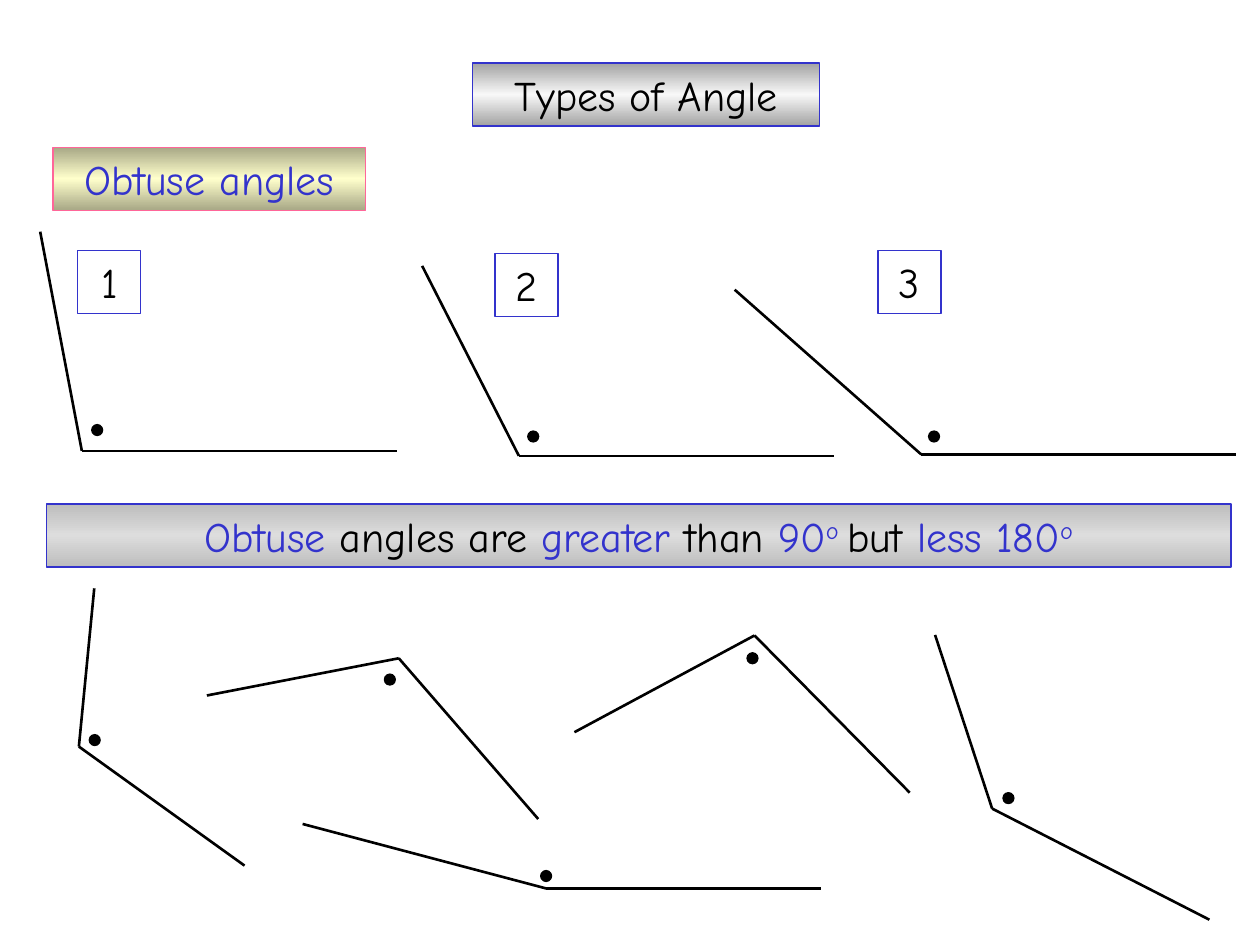
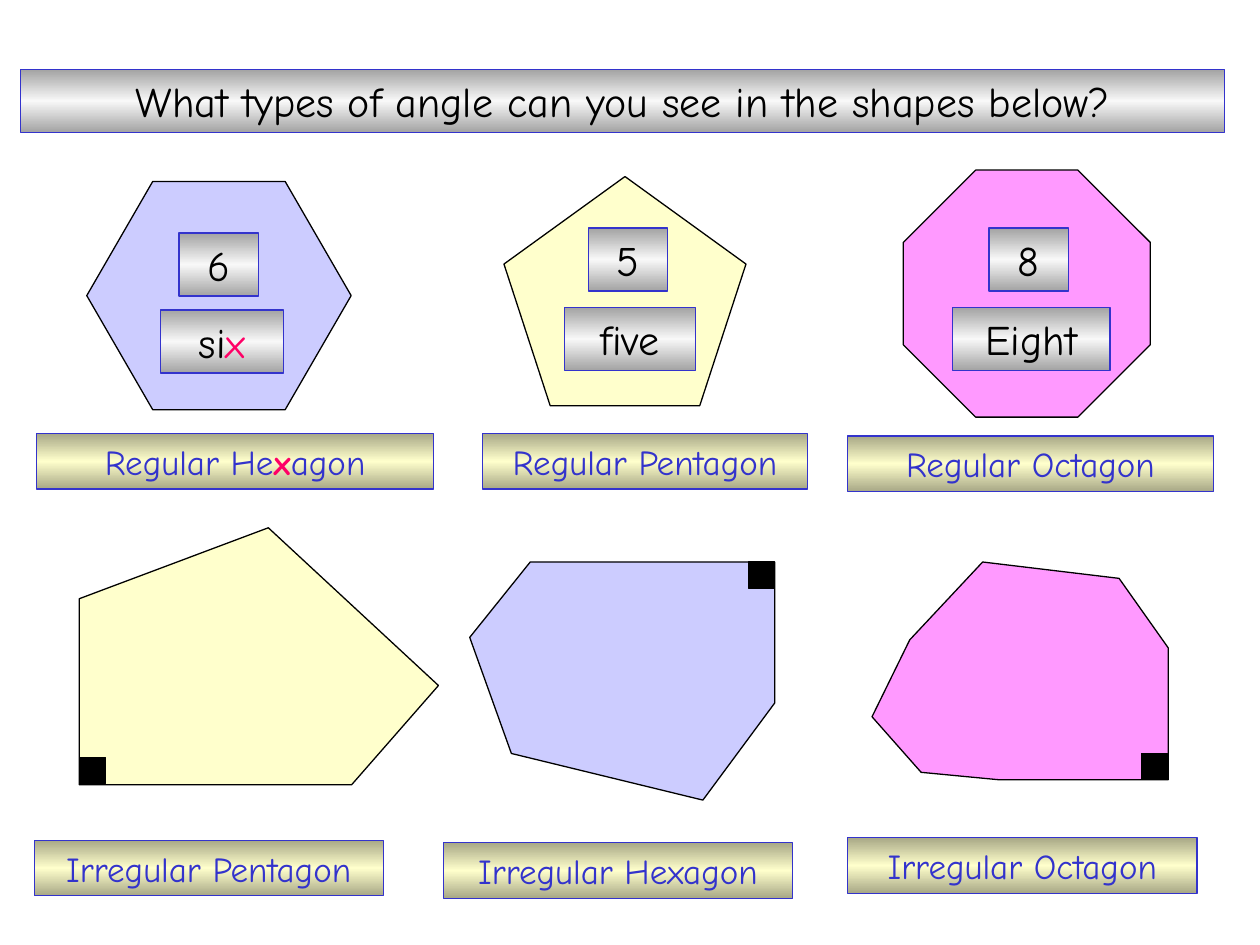
from copy import deepcopy

from lxml.etree import SubElement
from pptx import Presentation
from pptx.dml.color import RGBColor
from pptx.enum.shapes import MSO_CONNECTOR, MSO_SHAPE as Preset
from pptx.enum.text import MSO_ANCHOR, MSO_AUTO_SIZE, PP_ALIGN
from pptx.oxml.ns import qn
from pptx.util import Cm, Pt

# Shared look
FONT = "Comic Neue"
BLACK, BLUE, RED, PINK = "000000", "3333CC", "FF0066", "FF6699"
YELLOW_FILL, BLUE_FILL, PINK_FILL = "FFFFCC", "CCCCFF", "FF99FF"
SILVER = ("A3A3A3", "F8F8F8")
GREY = ("BDBDBD", "DDDDDD")
GOLD = ("A8A886", "FFFFCC")
BOX_HEIGHT, LABEL_HEIGHT = 1.27, 1.12
DOT_SIZE, CORNER_SIZE = 0.22, 0.53

# Slide 1 content, in centimetres
TITLE_ANGLES = ("Types of Angle", (9.53, 1.27, 6.99))
SUBTITLE = ("Obtuse angles", (1.07, 2.97, 6.3))
NUMBERS = [("1", (1.57, 5.05, 1.27)), ("2", (9.98, 5.11, 1.27)),
           ("3", (17.7, 5.05, 1.27))]
RULE_PLACE = (0.94, 10.16, 23.88)
RULE = [("Obtuse", BLUE), (" angles are ", BLACK), ("greater", BLUE),
        (" than ", BLACK), ("90", BLUE), ("o ", BLUE, "super"),
        ("but ", BLACK), ("less 180", BLUE), ("o", BLUE, "super")]
# First arm end, vertex, second arm end, top left of the dot
ANGLES = [
    ((0.81, 4.67), (1.65, 9.09), (8.0, 9.09), (1.85, 8.56)),
    ((8.51, 5.36), (10.46, 9.19), (16.81, 9.19), (10.64, 8.69)),
    ((14.81, 5.84), (18.57, 9.16), (24.92, 9.16), (18.72, 8.69)),
    ((1.9, 11.86), (1.59, 15.05), (4.93, 17.45), (1.8, 14.81)),
    ((4.17, 14.02), (8.04, 13.27), (10.85, 16.51), (7.75, 13.59)),
    ((11.58, 14.76), (15.21, 12.81), (18.34, 15.98), (15.06, 13.16)),
    ((18.85, 12.8), (20.0, 16.3), (24.38, 18.54), (20.22, 15.98)),
    ((6.1, 16.61), (11.01, 17.91), (16.56, 17.91), (10.9, 17.55)),
]

# Slide 2 content, in centimetres
TITLE_SHAPES = ("What types of angle can you see in the shapes below?",
                (0.41, 1.4, 24.28))
REGULAR = [
    {"preset": Preset.HEXAGON, "adjust": 0.289, "fill": BLUE_FILL,
     "place": (1.75, 3.66, 5.33, 4.6),
     "number": ("6", (3.61, 4.7, 1.6)),
     "word": ([("si", BLACK), ("x", RED)], (3.23, 6.25, 2.49)),
     "label": ([("Regular He", BLUE), ("x", RED, "bold"), ("agon", BLUE)],
               (0.74, 8.74, 8.0))},
    {"preset": Preset.REGULAR_PENTAGON, "adjust": None, "fill": YELLOW_FILL,
     "place": (10.16, 3.56, 4.88, 4.62),
     "number": ("5", (11.86, 4.6, 1.6)),
     "word": ("five", (11.38, 6.2, 2.64)),
     "label": ("Regular Pentagon", (9.73, 8.74, 6.55))},
    {"preset": Preset.OCTAGON, "adjust": 0.293, "fill": PINK_FILL,
     "place": (18.21, 3.43, 4.98, 4.98),
     "number": ("8", (19.94, 4.6, 1.6)),
     "word": ("Eight", (19.2, 6.2, 3.18)),
     "label": ("Regular Octagon", (17.09, 8.79, 7.37))},
]
IRREGULAR = [
    {"fill": YELLOW_FILL, "corner": (1.6, 15.27),
     "label": ("Irregular Pentagon", (0.69, 16.94, 7.04)),
     "points": [(7.09, 15.82), (1.6, 15.82), (1.6, 12.07), (5.41, 10.64),
                (8.84, 13.82)]},
    {"fill": BLUE_FILL, "corner": (15.09, 11.33),
     "label": ("Irregular Hexagon", (8.94, 16.99, 7.04)),
     "points": [(10.69, 11.33), (15.62, 11.33), (15.62, 14.17),
                (14.17, 16.13), (10.31, 15.19), (9.47, 12.85)]},
    {"fill": PINK_FILL, "corner": (23.01, 15.19),
     "label": ("Irregular Octagon", (17.09, 16.89, 7.04)),
     "points": [(20.14, 15.72), (23.55, 15.72), (23.55, 13.06),
                (22.56, 11.66), (19.81, 11.33), (18.34, 12.9),
                (17.58, 14.45), (18.57, 15.57)]},
]


def color(hex_string):
    return RGBColor.from_string(hex_string)


def to_cm(values):
    return [Cm(value) for value in values]


def outline(shape, line_color=BLACK, width=0.75):
    shape.line.color.rgb = color(line_color)
    shape.line.width = Pt(width)


def fill_solid(shape, fill_color):
    shape.shadow.inherit = False
    shape.fill.solid()
    shape.fill.fore_color.rgb = color(fill_color)
    outline(shape)


def fill_band(shape, band):
    """Vertical gradient: edge colour, middle colour, edge colour."""
    edge, middle = band
    shape.fill.gradient()
    shape.fill.gradient_angle = 90
    stop_list = shape._element.spPr.find(".//" + qn("a:gsLst"))
    stop_list.append(deepcopy(stop_list[0]))
    stops = zip(shape.fill.gradient_stops, (0, 0.5, 1), (edge, middle, edge))
    for stop, position, stop_color in stops:
        stop.position = position
        stop.color.rgb = color(stop_color)


def write(shape, text, text_color, size):
    frame = shape.text_frame
    frame.word_wrap = True
    frame.auto_size = MSO_AUTO_SIZE.NONE
    frame.vertical_anchor = MSO_ANCHOR.MIDDLE
    paragraph = frame.paragraphs[0]
    paragraph.alignment = PP_ALIGN.CENTER
    paragraph.space_before = Pt(0)
    paragraph.font.name = FONT
    paragraph.font.size = Pt(size)
    parts = [(text, text_color)] if isinstance(text, str) else text
    for words, run_color, *style in parts:
        run = paragraph.add_run()
        run.text = words
        run.font.color.rgb = color(run_color)
        if "bold" in style:
            run.font.bold = True
        if "super" in style:
            run.font._element.set("baseline", "30000")


def style_box(shape, text, band, text_color=BLACK, line_color=BLUE, size=24):
    shape.shadow.inherit = False
    if band:
        fill_band(shape, band)
    else:
        shape.fill.background()
    outline(shape, line_color)
    write(shape, text, text_color, size)


def add_box(slide, text, place, band=None, height=BOX_HEIGHT, **style):
    shape = slide.shapes.add_shape(Preset.RECTANGLE, *to_cm((*place, height)))
    style_box(shape, text, band, **style)


def add_label(slide, text, place):
    add_box(slide, text, place, GOLD, LABEL_HEIGHT, text_color=BLUE, size=20)


def add_titled_slide(presentation, text, place):
    slide = presentation.slides.add_slide(presentation.slide_layouts[5])
    title = slide.shapes.title
    title.left, title.top, title.width, title.height = to_cm((*place, BOX_HEIGHT))
    style_box(title, text, SILVER)
    return slide


def add_marker(slide, preset, corner, size):
    shape = slide.shapes.add_shape(preset, *to_cm((*corner, size, size)))
    fill_solid(shape, BLACK)


def add_angle(slide, first_end, vertex, second_end, dot):
    for end in (first_end, second_end):
        arm = slide.shapes.add_connector(
            MSO_CONNECTOR.STRAIGHT, *to_cm((*vertex, *end)))
        outline(arm, width=1.5)
        SubElement(arm._element.spPr, qn("a:effectLst"))
    add_marker(slide, Preset.OVAL, dot, DOT_SIZE)


def build_angles_slide(presentation):
    slide = add_titled_slide(presentation, *TITLE_ANGLES)
    add_box(slide, *SUBTITLE, GOLD, text_color=BLUE, line_color=PINK)
    for number, place in NUMBERS:
        add_box(slide, number, place)
    add_box(slide, RULE, RULE_PLACE, GREY)
    for angle in ANGLES:
        add_angle(slide, *angle)


def build_shapes_slide(presentation):
    slide = add_titled_slide(presentation, *TITLE_SHAPES)
    # Regular shapes with their side counts
    for item in REGULAR:
        polygon = slide.shapes.add_shape(item["preset"], *to_cm(item["place"]))
        if item["adjust"]:
            polygon.adjustments[0] = item["adjust"]
        fill_solid(polygon, item["fill"])
        add_box(slide, *item["number"], SILVER)
        add_box(slide, *item["word"], SILVER)
        add_label(slide, *item["label"])
    # Irregular shapes with a marked right angle
    for item in IRREGULAR:
        start, *others = [to_cm(point) for point in item["points"]]
        builder = slide.shapes.build_freeform(*start)
        builder.add_line_segments(others, close=True)
        fill_solid(builder.convert_to_shape(), item["fill"])
        add_marker(slide, Preset.RECTANGLE, item["corner"], CORNER_SIZE)
        add_label(slide, *item["label"])


def main():
    presentation = Presentation()
    presentation.slide_width, presentation.slide_height = Cm(25.4), Cm(19.05)
    build_angles_slide(presentation)
    build_shapes_slide(presentation)
    presentation.save("out.pptx")


if __name__ == "__main__":
    main()
